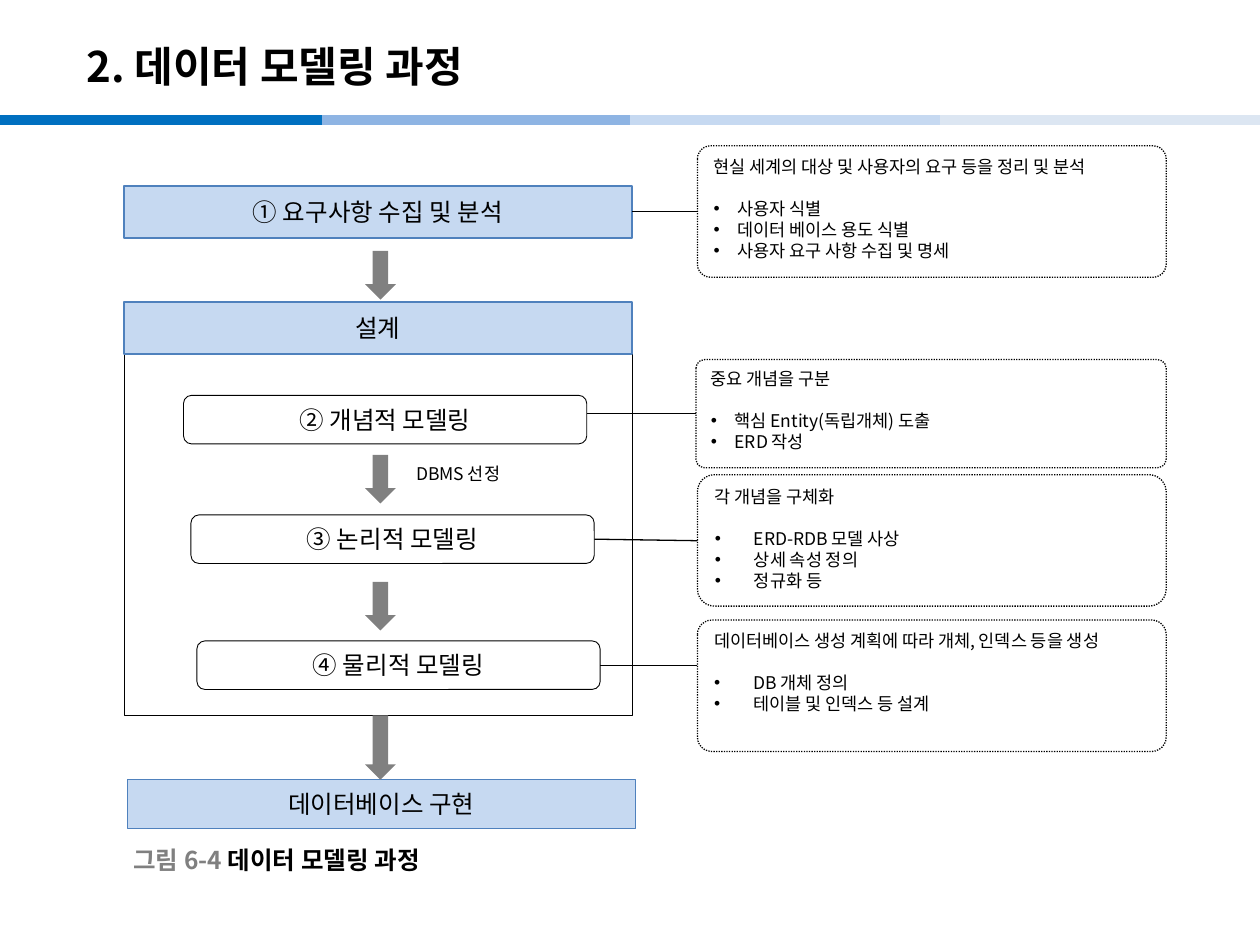
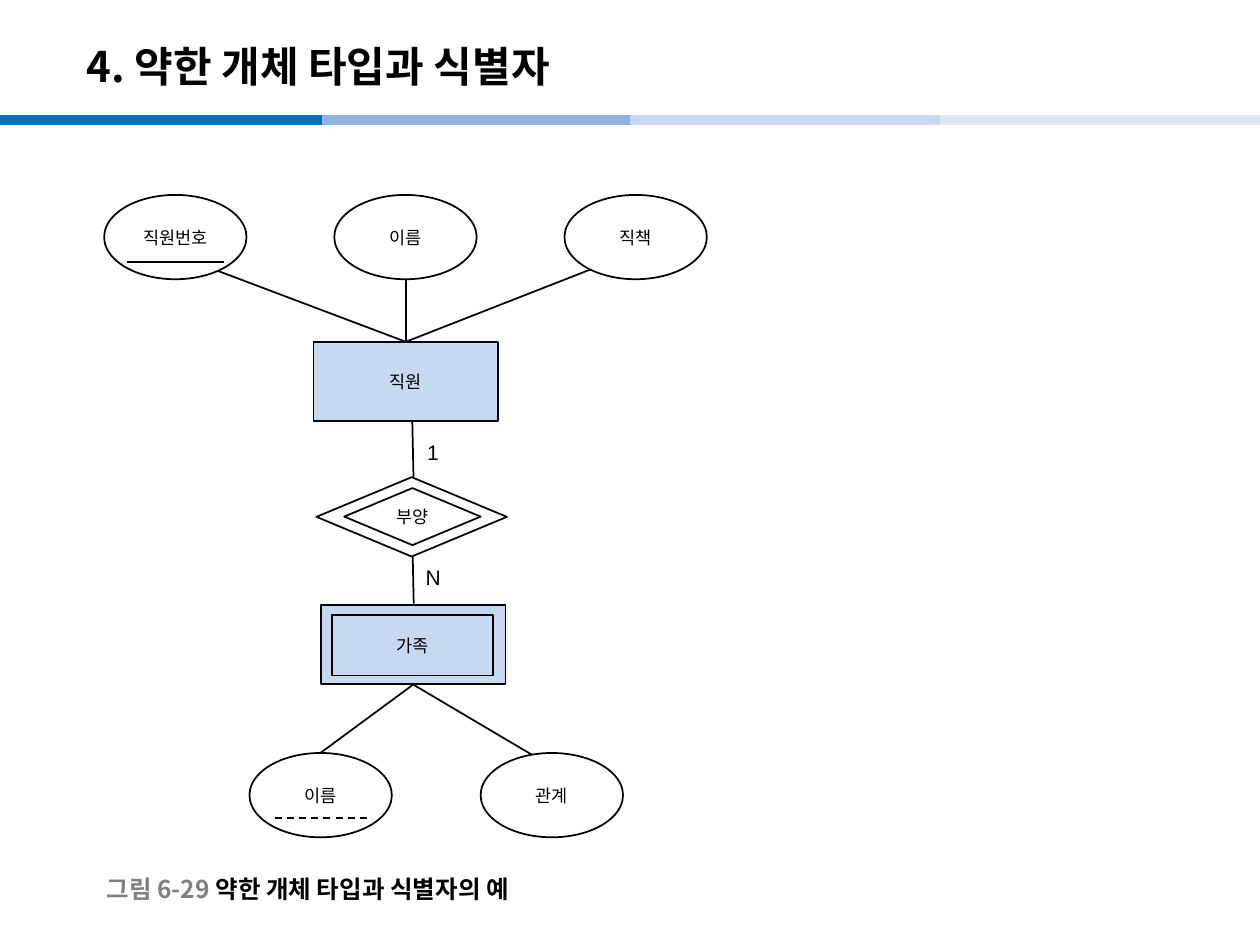
from dataclasses import dataclass

from lxml import etree
from pptx import Presentation
from pptx import util as u
from pptx.dml import color
from pptx.enum import dml, shapes, text
from pptx.oxml import ns

Kind = shapes.MSO_SHAPE
Dash = dml.MSO_LINE
Side = text.PP_ALIGN
Hold = text.MSO_ANCHOR


@dataclass(frozen=True)
class Theme:
    font: str = "Noto Sans CJK KR"
    latin: str = "Arial"
    ink: str = "000000"
    paper: str = "FFFFFF"
    gray: str = "808080"
    pale: str = "C6D9F1"
    edge: str = "4F81BD"
    bands: tuple = ("0070C0", "8EB4E3", "C6D9F1", "DCE6F2")
    title: int = 24
    head: int = 14
    mark: int = 12
    body: int = 10
    pitch: int = 12


class Deck:
    def __init__(self, theme):
        self.look = theme
        self.show = Presentation()
        self.show.slide_width = u.Cm(25.4)
        self.show.slide_height = u.Cm(19.05)
        self.page = None

    def start(self, title):
        self.page = self.show.slides.add_slide(self.show.slide_layouts[6])
        for left, tint in zip((0, 6.5, 12.7, 18.95), self.look.bands):
            self.line((left, 2.42), (left + 6.5, 2.42), tint, 6)
        self.label((1.5, 0.56, 21, 1.52), [title], size=self.look.title, bold=True)

    def style(self, run, size, tint=None, bold=False, name=None):
        name = name or self.look.font
        form = {"name": name, "size": u.Pt(size), "bold": bold}
        for key, value in form.items():
            setattr(run.font, key, value)
        run.font.color.rgb = color.RGBColor.from_string(tint or self.look.ink)
        etree.SubElement(run.font._element, ns.qn("a:ea"), typeface=name)

    def phrase(self, para, words, size, **form):
        run = para.add_run()
        run.text = words
        self.style(run, size, **form)

    def stroke(self, line, tint, width, dash=None):
        line.color.rgb = color.RGBColor.from_string(tint)
        form = {"width": u.Pt(width), "dash_style": dash}
        for key, value in form.items():
            setattr(line, key, value)

    def line(self, start, end, tint=None, width=0.75, dash=None):
        ends = [u.Cm(value) for value in (*start, *end)]
        item = self.page.shapes.add_connector(shapes.MSO_CONNECTOR.STRAIGHT, *ends)
        self.stroke(item.line, tint or self.look.ink, width, dash)
        etree.SubElement(item._element.spPr, ns.qn("a:effectLst"))

    def label(self, area, parts, size, align=Side.LEFT, anchor=Hold.MIDDLE,
              tints=(None,), **form):
        frame = self.page.shapes.add_textbox(*map(u.Cm, area)).text_frame
        frame.word_wrap = True
        frame.vertical_anchor = anchor
        para = frame.paragraphs[0]
        para.alignment = align
        for words, tint in zip(parts, tints):
            self.phrase(para, words, size, tint=tint, **form)

    def node(self, kind, area, words="", fill=None, edge=None, width=1.0,
             size=None, dash=None):
        item = self.page.shapes.add_shape(kind, *map(u.Cm, area))
        item.shadow.inherit = False
        item.fill.solid()
        item.fill.fore_color.rgb = color.RGBColor.from_string(fill or self.look.paper)
        if width:
            self.stroke(item.line, edge or self.look.ink, width, dash)
        else:
            item.line.fill.background()
        if words:
            item.text_frame.vertical_anchor = Hold.MIDDLE
            para = item.text_frame.paragraphs[0]
            para.alignment = Side.CENTER
            self.phrase(para, words, size or self.look.body)
        return item

    def note(self, area, curve, indent, head, points):
        item = self.node(Kind.ROUNDED_RECTANGLE, area, width=0.75, dash=Dash.ROUND_DOT)
        item.adjustments[0] = curve
        frame = item.text_frame
        frame.word_wrap = True
        frame.vertical_anchor = Hold.TOP
        for rank, words in enumerate((head, *points)):
            para = frame.add_paragraph() if rank else frame.paragraphs[0]
            form = {"alignment": Side.LEFT, "line_spacing": u.Pt(self.look.pitch),
                    "space_after": u.Pt(0 if rank else self.look.pitch)}
            for key, value in form.items():
                setattr(para, key, value)
            if rank:
                props = para._p.get_or_add_pPr()
                props.set("marL", str(u.Cm(indent)))
                props.set("indent", str(-u.Cm(indent)))
                etree.SubElement(props, ns.qn("a:buFont"), typeface=self.look.latin)
                etree.SubElement(props, ns.qn("a:buChar"), char="•")
            self.phrase(para, words, self.look.body)

    def bar(self, left, top, high, words):
        self.node(Kind.RECTANGLE, (left, top, 10.24, high), words, self.look.pale,
                  self.look.edge, 0.75, self.look.head)

    def step(self, left, top, words):
        self.node(Kind.ROUNDED_RECTANGLE, (left, top, 8.13, 0.98), words,
                  width=0.5, size=self.look.head)

    def arrow(self, top, high=0.98):
        self.node(Kind.DOWN_ARROW, (7.36, top, 0.62, high), fill=self.look.gray, width=0)

    def oval(self, left, top, words):
        self.node(Kind.OVAL, (left, top, 2.87, 1.7), words)

    def caption(self, left, top, mark, words):
        self.label((left, top, 12, 0.79), (mark, words), self.look.head,
                   tints=(self.look.gray, self.look.ink), bold=True)


def process(deck):
    deck.start("2. 데이터 모델링 과정")
    deck.node(Kind.RECTANGLE, (2.5, 6.09, 10.24, 8.33), width=0.25)
    for left, top, high, words in (
        (2.5, 3.75, 1.05, "① 요구사항 수집 및 분석"),
        (2.5, 6.09, 1.05, "설계"),
        (2.57, 15.72, 0.98, "데이터베이스 구현"),
    ):
        deck.bar(left, top, high, words)
    for left, top, words in (
        (3.7, 7.97, "② 개념적 모델링"),
        (3.85, 10.38, "③ 논리적 모델링"),
        (3.97, 12.92, "④ 물리적 모델링"),
    ):
        deck.step(left, top, words)
    for area, curve, indent, head, points in (
        ((14.06, 2.94, 9.45, 2.65), 0.1, 0.48,
         "현실 세계의 대상 및 사용자의 요구 등을 정리 및 분석",
         ("사용자 식별", "데이터 베이스 용도 식별", "사용자 요구 사항 수집 및 명세")),
        ((14.03, 7.25, 9.48, 2.18), 0.08, 0.48, "중요 개념을 구분",
         ("핵심 Entity(독립개체) 도출", "ERD 작성")),
        ((14.06, 9.57, 9.45, 2.65), 0.13, 0.79, "각 개념을 구체화",
         ("ERD-RDB 모델 사상", "상세 속성 정의", "정규화 등")),
        ((14.06, 12.5, 9.45, 2.65), 0.11, 0.79,
         "데이터베이스 생성 계획에 따라 개체, 인덱스 등을 생성",
         ("DB 개체 정의", "테이블 및 인덱스 등 설계")),
    ):
        deck.note(area, curve, indent, head, points)
    for start, end in (
        ((12.74, 4.27), (14.06, 4.27)),
        ((11.83, 8.33), (14.03, 8.33)),
        ((11.98, 10.87), (14.06, 10.9)),
        ((12.1, 13.41), (14.06, 13.41)),
    ):
        deck.line(start, end)
    for top in (5.06, 9.17, 11.73):
        deck.arrow(top)
    deck.arrow(14.42, 1.3)
    deck.label((7.95, 9.17, 2.57, 0.76), ["DBMS 선정"], deck.look.body, Side.CENTER)
    deck.caption(2.44, 16.94, "그림 6-4 ", "데이터 모델링 과정")


def weak(deck):
    deck.start("4. 약한 개체 타입과 식별자")
    staff, kin = (8.18, 6.89), (8.33, 13.8)
    for start, end in (
        ((3.78, 5.23), staff),
        ((8.18, 5.28), staff),
        ((12.42, 5.23), staff),
        ((8.31, 8.43), (8.34, 9.83)),
        ((8.31, 10.74), (8.34, 12.17)),
        (kin, (6.43, 15.2)),
        (kin, (10.9, 15.32)),
    ):
        deck.line(start, end, width=1)
    for rank, words in enumerate(("직원번호", "이름", "직책")):
        deck.oval(2.1 + rank * 4.64, 3.93, words)
    for rank, words in enumerate(("이름", "관계")):
        deck.oval(5.03 + rank * 4.66, 15.18, words)
    for kind, area, words, fill in (
        (Kind.RECTANGLE, (6.32, 6.89, 3.72, 1.6), "직원", deck.look.pale),
        (Kind.FLOWCHART_DECISION, (6.38, 9.62, 3.84, 1.6), "", None),
        (Kind.FLOWCHART_DECISION, (6.94, 9.84, 2.75, 1.15), "부양", None),
        (Kind.RECTANGLE, (6.47, 12.19, 3.72, 1.6), "", deck.look.pale),
        (Kind.RECTANGLE, (6.7, 12.4, 3.24, 1.22), "가족", deck.look.pale),
    ):
        deck.node(kind, area, words, fill)
    deck.line((2.56, 5.28), (4.52, 5.28), width=1)
    deck.line((5.54, 16.49), (7.5, 16.49), width=1, dash=Dash.DASH)
    for left, top, words in ((8.36, 8.74, "1"), (8.33, 11.25, "N")):
        deck.label((left, top, 1, 0.76), [words], deck.look.mark,
                   anchor=Hold.TOP, name=deck.look.latin)
    deck.caption(1.9, 17.53, "그림 6-29 ", "약한 개체 타입과 식별자의 예")


def main():
    deck = Deck(Theme())
    process(deck)
    weak(deck)
    deck.show.save("out.pptx")


if __name__ == "__main__":
    main()
